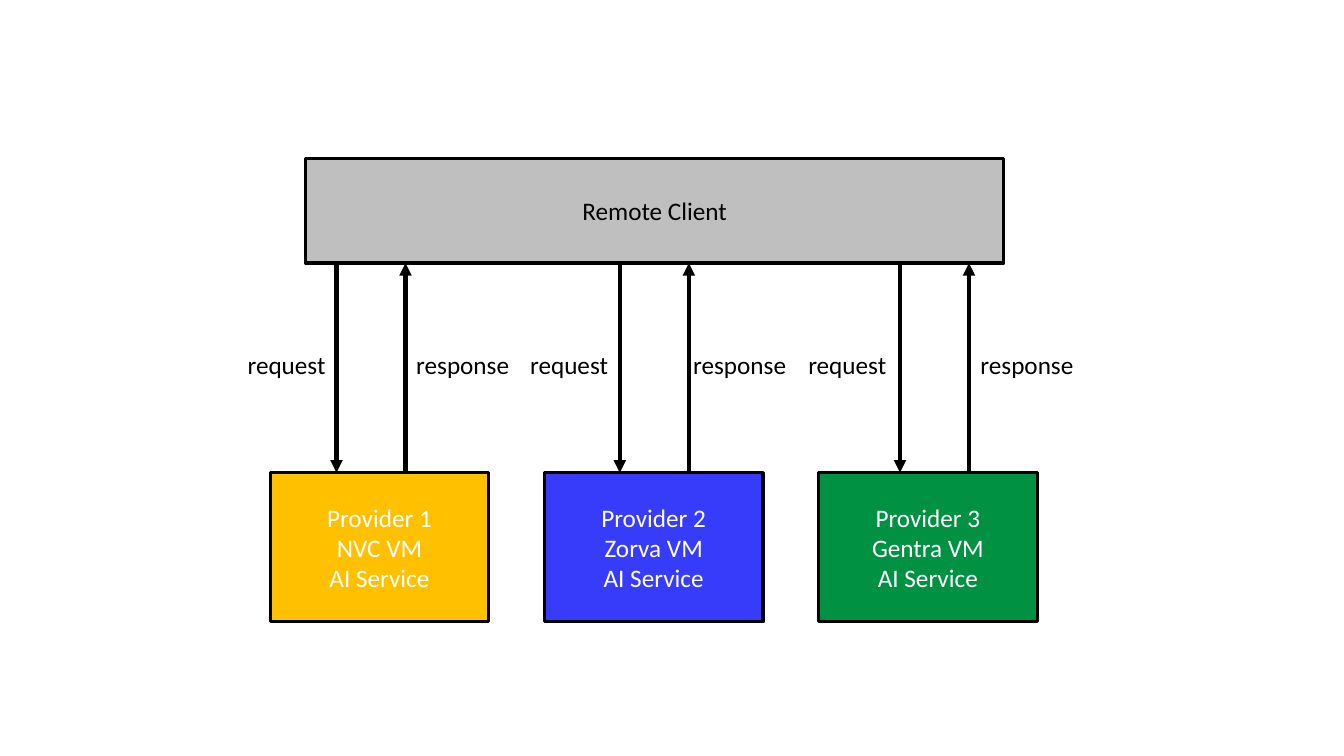
from lxml import etree
from pptx import Presentation
from pptx.dml.color import RGBColor
from pptx.enum.shapes import MSO_CONNECTOR, MSO_SHAPE
from pptx.enum.text import MSO_ANCHOR, MSO_AUTO_SIZE, PP_ALIGN
from pptx.oxml.ns import qn
from pptx.util import Cm, Pt

RECT = MSO_SHAPE.RECTANGLE
STRAIGHT = MSO_CONNECTOR.STRAIGHT
MIDDLE = MSO_ANCHOR.MIDDLE
FIT_SHAPE = MSO_AUTO_SIZE.SHAPE_TO_FIT_TEXT
LEFT, CENTER = PP_ALIGN.LEFT, PP_ALIGN.CENTER

BLACK = RGBColor(0x00, 0x00, 0x00)
WHITE = RGBColor(0xFF, 0xFF, 0xFF)
GRAY = RGBColor(0xBF, 0xBF, 0xBF)
AMBER = RGBColor(0xFF, 0xC0, 0x00)
BLUE = RGBColor(0x37, 0x3C, 0xFB)
GREEN = RGBColor(0x00, 0x92, 0x42)

CLIENT_TOP, CLIENT_H = 3.99, 2.64
CLIENT_BOTTOM = CLIENT_TOP + CLIENT_H
PROVIDER_LEFT, PROVIDER_TOP, PROVIDER_PITCH = 6.81, 11.91, 6.91
ARROW_GAP = 1.74
LABEL_TOP, LABEL_H = 8.69, 1.02

# service name, fill, request arrow x, request label x, response label x
PROVIDERS = [
    ("NVC VM", AMBER, 8.48, 5.99, 10.24),
    ("Zorva VM", BLUE, 15.62, 13.11, 17.22),
    ("Gentra VM", GREEN, 22.68, 20.12, 24.46),
]


def write(tf, text, color=BLACK, align=LEFT, size=18, font="Calibri"):
    """Put one formatted paragraph in a text frame; \\v breaks a line."""
    p = tf.paragraphs[0]
    p.text = text
    p.alignment = align
    for r in p.runs:
        r.font.name = font
        r.font.size = Pt(size)
        r.font.color.rgb = color


def add_box(s, x, y, w, h, text, fill, color):
    """Add an outlined rectangle with centred text."""
    sp = s.shapes.add_shape(RECT, Cm(x), Cm(y), Cm(w), Cm(h))
    sp.shadow.inherit = False
    sp.fill.solid()
    sp.fill.fore_color.rgb = fill
    sp.line.color.rgb = BLACK
    sp.line.width = Pt(2.25)
    sp.text_frame.vertical_anchor = MIDDLE
    write(sp.text_frame, text, color=color, align=CENTER)


def add_label(s, x, w, text):
    """Add an unwrapped label beside an arrow."""
    sp = s.shapes.add_textbox(Cm(x), Cm(LABEL_TOP), Cm(w), Cm(LABEL_H))
    tf = sp.text_frame
    tf.word_wrap = False
    tf.auto_size = FIT_SHAPE
    write(tf, text)


def add_arrow(s, x, y1, y2):
    """Add a vertical arrow pointing from y1 to y2."""
    line = s.shapes.add_connector(STRAIGHT, Cm(x), Cm(y1), Cm(x), Cm(y2))
    line.line.color.rgb = BLACK
    line.line.width = Pt(3)
    ln = line.line._get_or_add_ln()
    etree.SubElement(ln, qn("a:tailEnd"), type="triangle")
    etree.SubElement(line._element.spPr, qn("a:effectLst"))


def main():
    """Build the client and provider diagram."""
    prs = Presentation()
    prs.slide_width, prs.slide_height = Cm(33.87), Cm(19.05)
    s = prs.slides.add_slide(prs.slide_layouts[6])

    for i, (service, fill, arrow_x, request_x, response_x) in enumerate(PROVIDERS):
        add_arrow(s, arrow_x, CLIENT_BOTTOM, PROVIDER_TOP)
        add_arrow(s, arrow_x + ARROW_GAP, PROVIDER_TOP, CLIENT_BOTTOM)
        add_label(s, request_x, 2.49, "request")
        add_label(s, response_x, 2.87, "response")
        add_box(s, PROVIDER_LEFT + i * PROVIDER_PITCH, PROVIDER_TOP, 5.51, 3.76,
                f"Provider {i + 1}\v{service}\vAI Service", fill, WHITE)
    add_box(s, 7.7, CLIENT_TOP, 17.6, CLIENT_H, "Remote Client", GRAY, BLACK)

    prs.save("out.pptx")


main()
